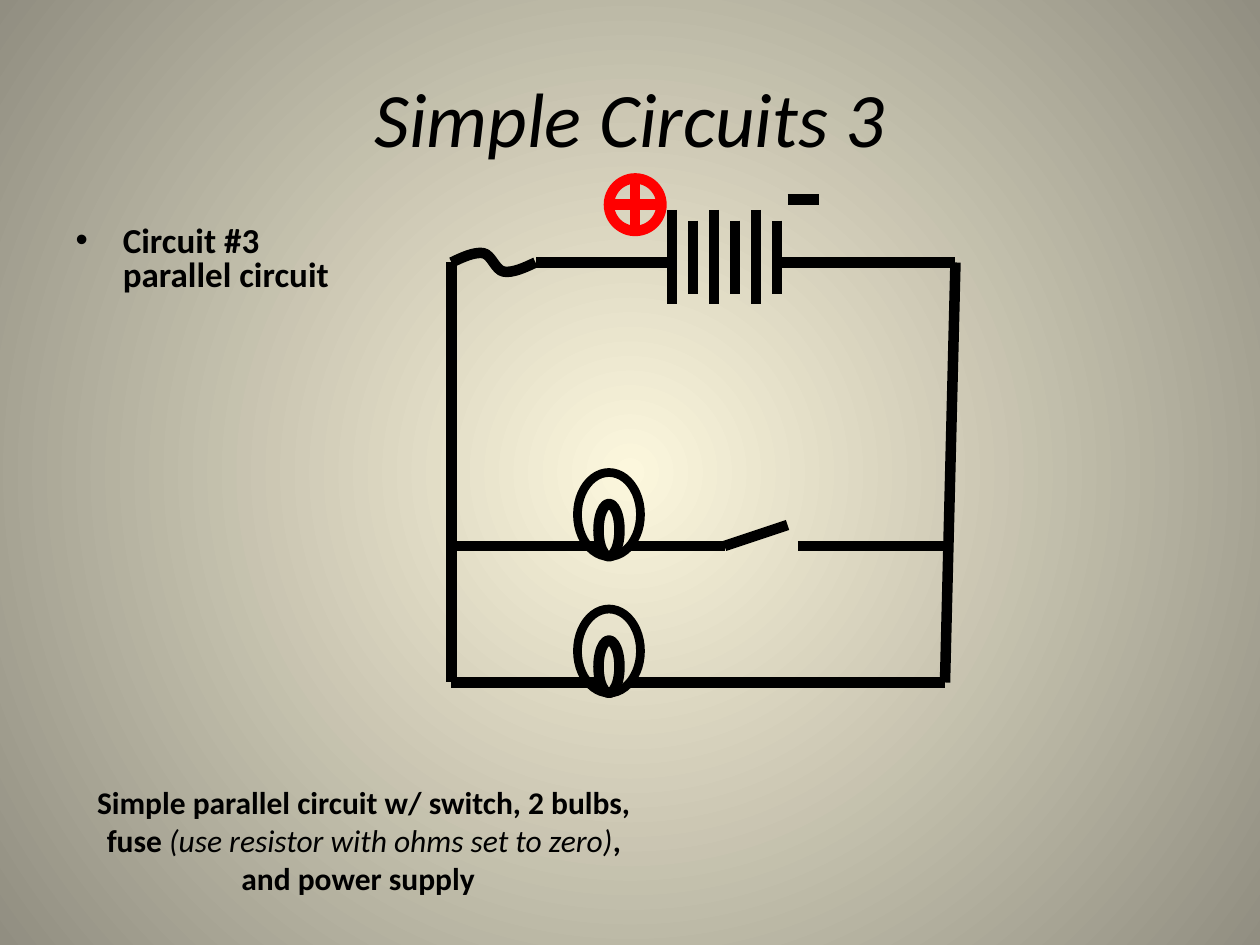
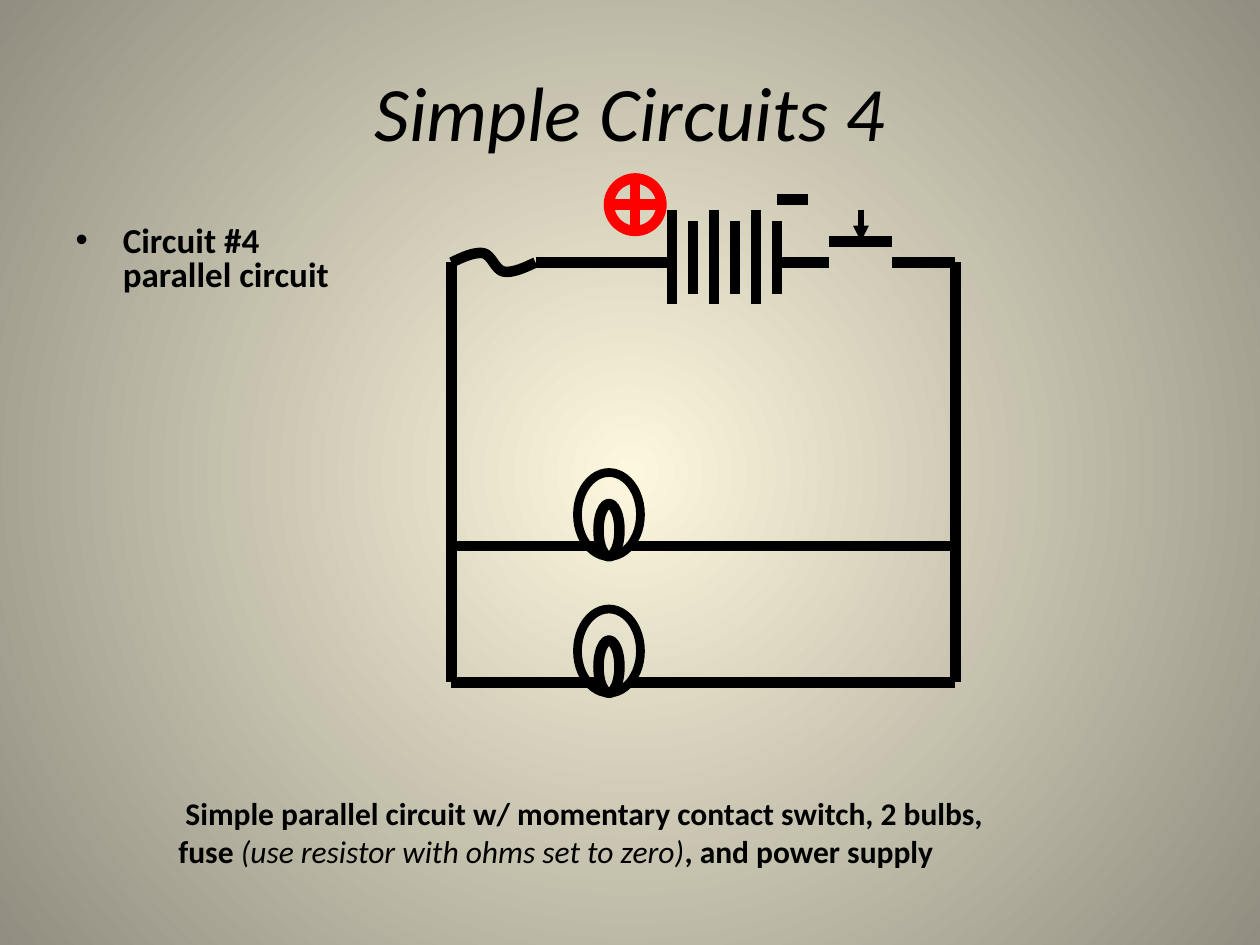
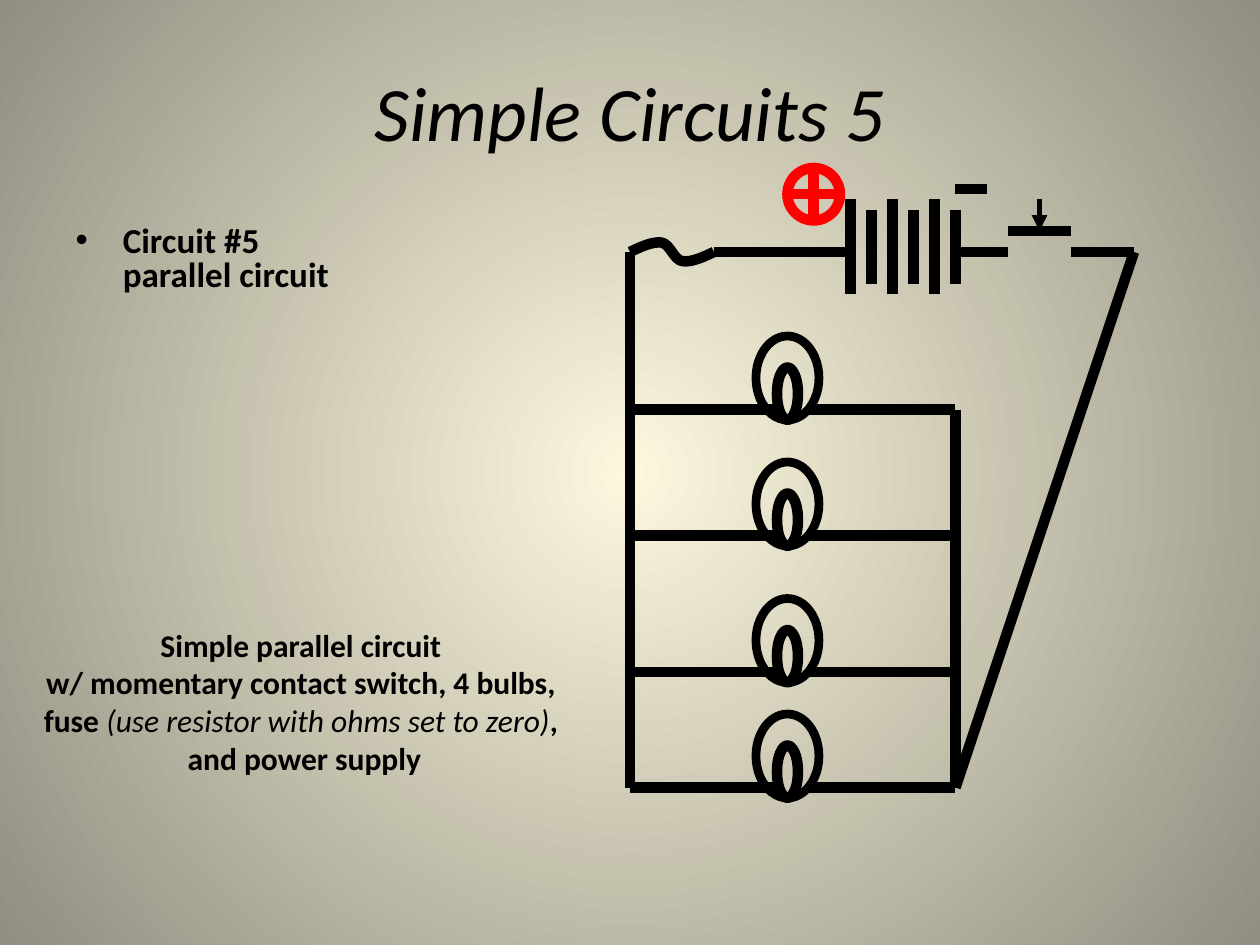
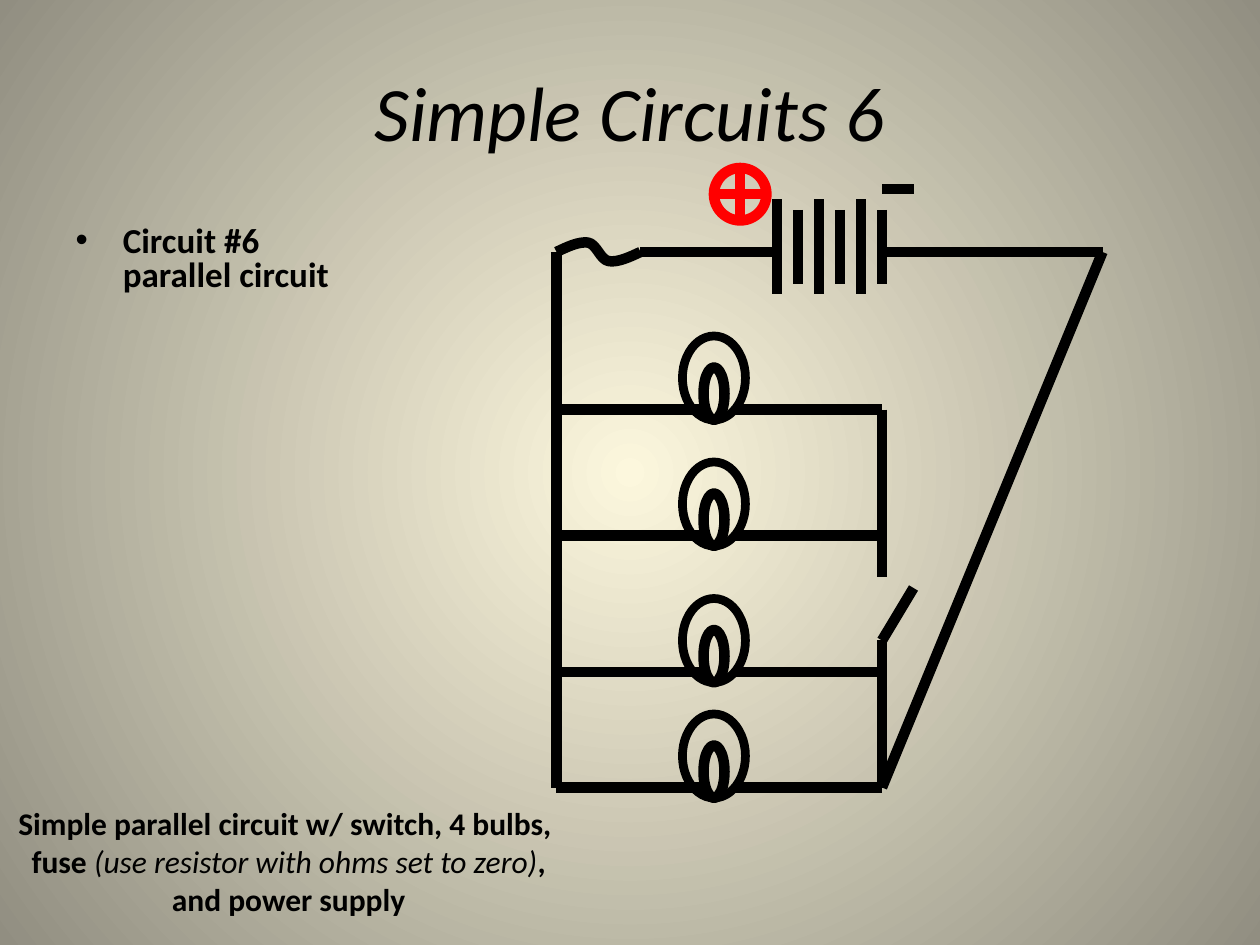
from lxml import etree
from pptx import Presentation
from pptx import util as u
from pptx.dml.color import RGBColor
from pptx.enum import shapes, text
from pptx.oxml.ns import qn

BLACK = RGBColor(0x00, 0x00, 0x00)
RED = RGBColor(0xFF, 0x00, 0x00)
GLOW = RGBColor(0xFC, 0xF7, 0xDD)
EDGE = RGBColor(0x91, 0x8E, 0x81)

FONT = "Calibri"
COLUMNS, ROWS = 120, 90
WIRE, BULB_GLASS, ARROW = 6, 5, 3
FUSE_CURVE = [(0, 0), (1.05, -0.5), (2.1, -1), (3, -0.9), (3.85, -0.75),
              (4.15, 0.75), (5, 0.88), (5.85, 1), (6.95, 0.5), (8, 0)]
FUSE_NOTE = "(use resistor with ohms set to zero)"


class CircuitDeck:
    def __init__(self):
        self.presentation = Presentation()
        self.presentation.slide_width = u.Inches(10)
        self.presentation.slide_height = u.Inches(7.5)
        self.slide = None
        self.left = self.top = 0
        self.paint_background()

    def paint_background(self):
        fill = self.presentation.slide_master.background.fill
        fill.gradient()
        for stop, color, position in zip(fill.gradient_stops, (GLOW, EDGE), (0, 1)):
            stop.color.rgb = color
            stop.position = position
        background = self.presentation.slide_master._element
        linear = next(background.iter(qn("a:lin")))
        gradient = linear.getparent()
        circle = etree.Element(qn("a:path"), path="circle")
        etree.SubElement(circle, qn("a:fillToRect"),
                         l="50000", t="50000", r="50000", b="50000")
        gradient.replace(linear, circle)

    def x(self, column):
        return round(self.presentation.slide_width * column / COLUMNS)

    def y(self, row):
        return round(self.presentation.slide_height * row / ROWS)

    def box(self, column, row, width, height):
        return self.x(column), self.y(row), self.x(width), self.y(height)

    def start_slide(self, number, title_row, body_width, left, top):
        layout = self.presentation.slide_layouts[1]
        self.slide = self.presentation.slides.add_slide(layout)
        self.left, self.top = left, top
        self.title(f"Simple Circuits {number}", title_row)
        self.body(f"Circuit #{number}\nparallel circuit", body_width)

    def place(self, shape, column, row, width, height):
        shape.left, shape.top, shape.width, shape.height = self.box(
            column, row, width, height)

    def add_words(self, paragraph, words, size, bold=False, italic=False):
        for index, line in enumerate(words.split("\n")):
            if index:
                paragraph.add_line_break()
            if line:
                run = paragraph.add_run()
                run.text = line
                run.font.name = FONT
                run.font.size = u.Pt(size)
                run.font.bold = bold
                run.font.italic = italic
                run.font.color.rgb = BLACK

    def title(self, words, row):
        shape = self.slide.shapes.title
        self.place(shape, 6, row, 108, 15)
        shape.text_frame.vertical_anchor = text.MSO_ANCHOR.MIDDLE
        paragraph = shape.text_frame.paragraphs[0]
        paragraph.alignment = text.PP_ALIGN.CENTER
        self.add_words(paragraph, words, 44, italic=True)

    def body(self, words, width):
        shape = self.slide.placeholders[1]
        self.place(shape, 6, 21, width, 8)
        shape.text_frame.auto_size = text.MSO_AUTO_SIZE.NONE
        paragraph = shape.text_frame.paragraphs[0]
        paragraph.line_spacing = 0.8
        paragraph.space_before = u.Pt(0)
        self.add_words(paragraph, words, 20, bold=True)

    def caption(self, place, opening, closing):
        shape = self.slide.shapes.add_textbox(*self.box(*place))
        shape.text_frame.word_wrap = True
        paragraph = shape.text_frame.paragraphs[0]
        paragraph.alignment = text.PP_ALIGN.CENTER
        self.add_words(paragraph, opening, 18, bold=True)
        self.add_words(paragraph, FUSE_NOTE, 18, italic=True)
        self.add_words(paragraph, closing, 18, bold=True)

    def wire(self, start, end, width=WIRE, arrow=False):
        connector = self.slide.shapes.add_connector(
            shapes.MSO_CONNECTOR.STRAIGHT,
            self.x(self.left + start[0]), self.y(self.top + start[1]),
            self.x(self.left + end[0]), self.y(self.top + end[1]))
        connector.line.color.rgb = BLACK
        connector.line.width = u.Pt(width)
        properties = connector._element.spPr
        if arrow:
            etree.SubElement(properties.find(qn("a:ln")), qn("a:tailEnd"),
                             type="triangle")
        etree.SubElement(properties, qn("a:effectLst"))

    def hollow(self, shape, color, width):
        shape.shadow.inherit = False
        shape.fill.background()
        shape.line.color.rgb = color
        shape.line.width = u.Pt(width)

    def outline(self, kind, column, row, width, height, line, color=BLACK):
        shape = self.slide.shapes.add_shape(
            kind, *self.box(self.left + column, self.top + row, width, height))
        self.hollow(shape, color, line)

    def fuse(self):
        points = [(self.x(self.left + column), self.y(self.top + row))
                  for column, row in FUSE_CURVE]
        builder = self.slide.shapes.build_freeform(*points[0], scale=1.0)
        builder.add_line_segments(points[1:], close=False)
        shape = builder.convert_to_shape()
        segments = list(shape._element.iter(qn("a:lnTo")))
        for first in range(0, len(segments), 3):
            curve = etree.Element(qn("a:cubicBezTo"))
            segments[first].addprevious(curve)
            for segment in segments[first:first + 3]:
                curve.append(segment[0])
                segment.getparent().remove(segment)
        self.hollow(shape, BLACK, WIRE)

    def power_supply(self, minus=31):
        self.fuse()
        self.wire((21, 0), (8, 0))
        for plate in range(21, 32, 4):
            self.wire((plate, -5), (plate, 4))
            self.wire((plate + 2, -4), (plate + 2, 3))
        self.outline(shapes.MSO_SHAPE.FLOWCHART_OR, 15, -8, 5, 5, WIRE, RED)
        self.wire((minus, -6), (minus + 3, -6))

    def momentary_switch(self):
        self.wire((31, 0), (36, 0))
        self.wire((42, -2), (36, -2))
        self.wire((42, 0), (48, 0))
        self.wire((39, -5), (39, -2), ARROW, arrow=True)

    def bulb_branch(self, row, end):
        self.wire((0, row), (14, row))
        self.wire((17, row), (end, row))
        self.outline(shapes.MSO_SHAPE.OVAL, 12, row - 7, 6, 8, BULB_GLASS)
        self.outline(shapes.MSO_SHAPE.OVAL, 14, row - 4, 2, 5, WIRE)

    def ladder(self, rows, end):
        self.wire((0, 0), (0, rows[-1]))
        for row in rows:
            self.bulb_branch(row, end)


def main():
    deck = CircuitDeck()
    two_bulbs = (27, 40)
    four_bulbs = (15, 27, 40, 51)

    deck.start_slide(3, 3.6, 32, left=43, top=25)
    deck.power_supply(minus=32)
    deck.wire((31, 0), (48, 0))
    deck.wire((48, 0), (47, 40))
    deck.wire((0, 0), (0, 40))
    deck.bulb_branch(27, 26)
    deck.wire((32, 25), (26, 27))
    deck.wire((33, 27), (47, 27))
    deck.bulb_branch(40, 47)
    deck.caption((5, 74, 60, 12.1),
                 "Simple parallel circuit w/ switch, 2 bulbs, \nfuse ",
                 ", \nand power supply \t")

    deck.start_slide(4, 3, 44, left=43, top=25)
    deck.power_supply()
    deck.momentary_switch()
    deck.wire((48, 0), (48, 40))
    deck.ladder(two_bulbs, 48)
    deck.caption((5, 75, 102, 8.5),
                 "Simple parallel circuit w/ momentary contact switch, 2 bulbs, \nfuse ",
                 ", and power supply \t")

    deck.start_slide(5, 3, 44, left=60, top=24)
    deck.power_supply()
    deck.momentary_switch()
    deck.wire((48, 0), (31, 51))
    deck.wire((31, 15), (31, 51))
    deck.ladder(four_bulbs, 31)
    deck.caption((1, 59, 56, 15.7),
                 "Simple parallel circuit \nw/ momentary contact switch, 4 bulbs, \nfuse ",
                 ", \nand power supply")

    deck.start_slide(6, 3, 44, left=53, top=24)
    deck.power_supply()
    deck.wire((31, 0), (52, 0))
    deck.wire((52, 0), (31, 51))
    deck.wire((31, 15), (31, 31))
    deck.wire((34, 32), (31, 37))
    deck.wire((31, 37), (31, 51))
    deck.ladder(four_bulbs, 31)
    deck.caption((0, 76, 55, 12.1),
                 "Simple parallel circuit w/ switch, 4 bulbs, \nfuse ",
                 ", and power supply")

    deck.presentation.save("out.pptx")


if __name__ == "__main__":
    main()
